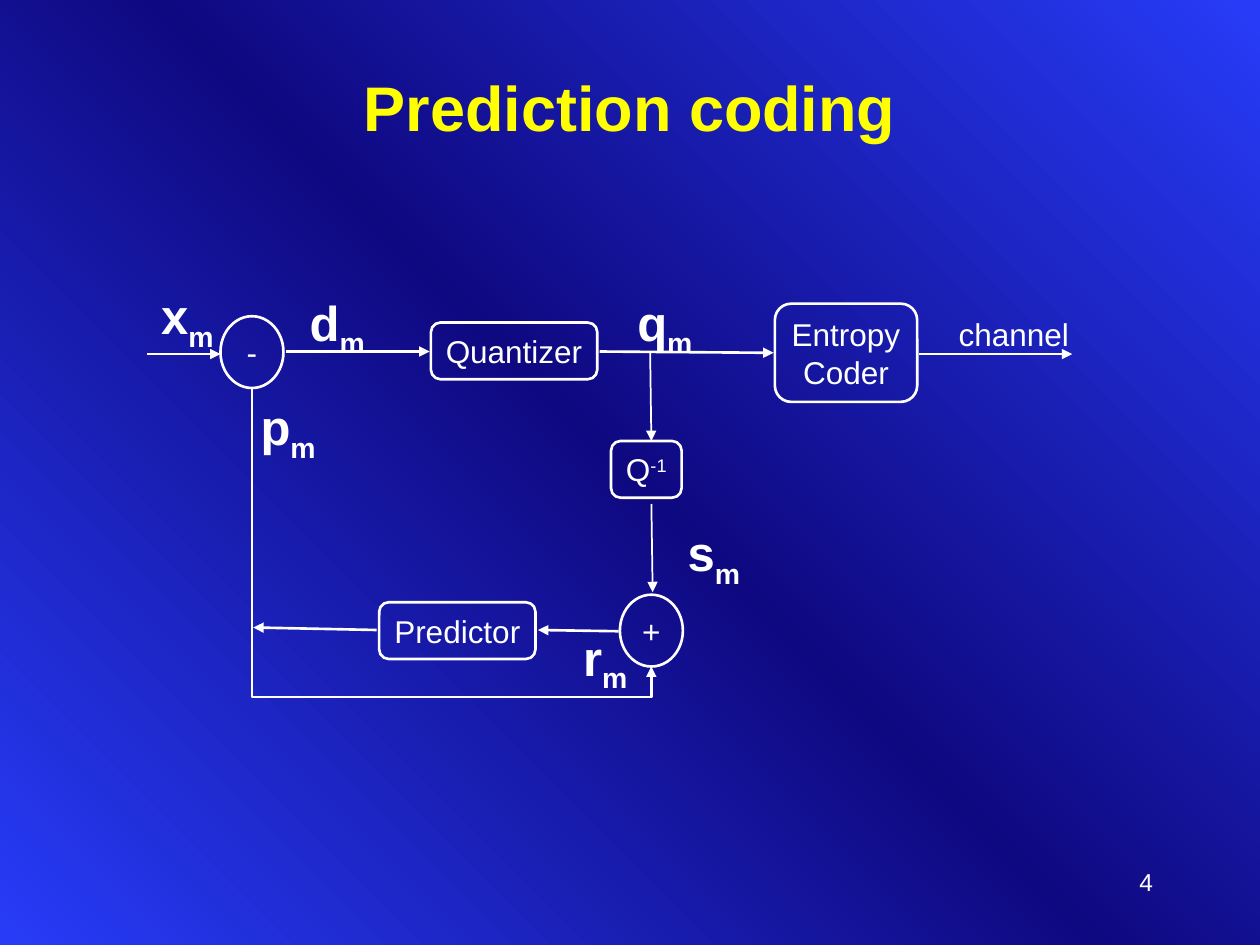
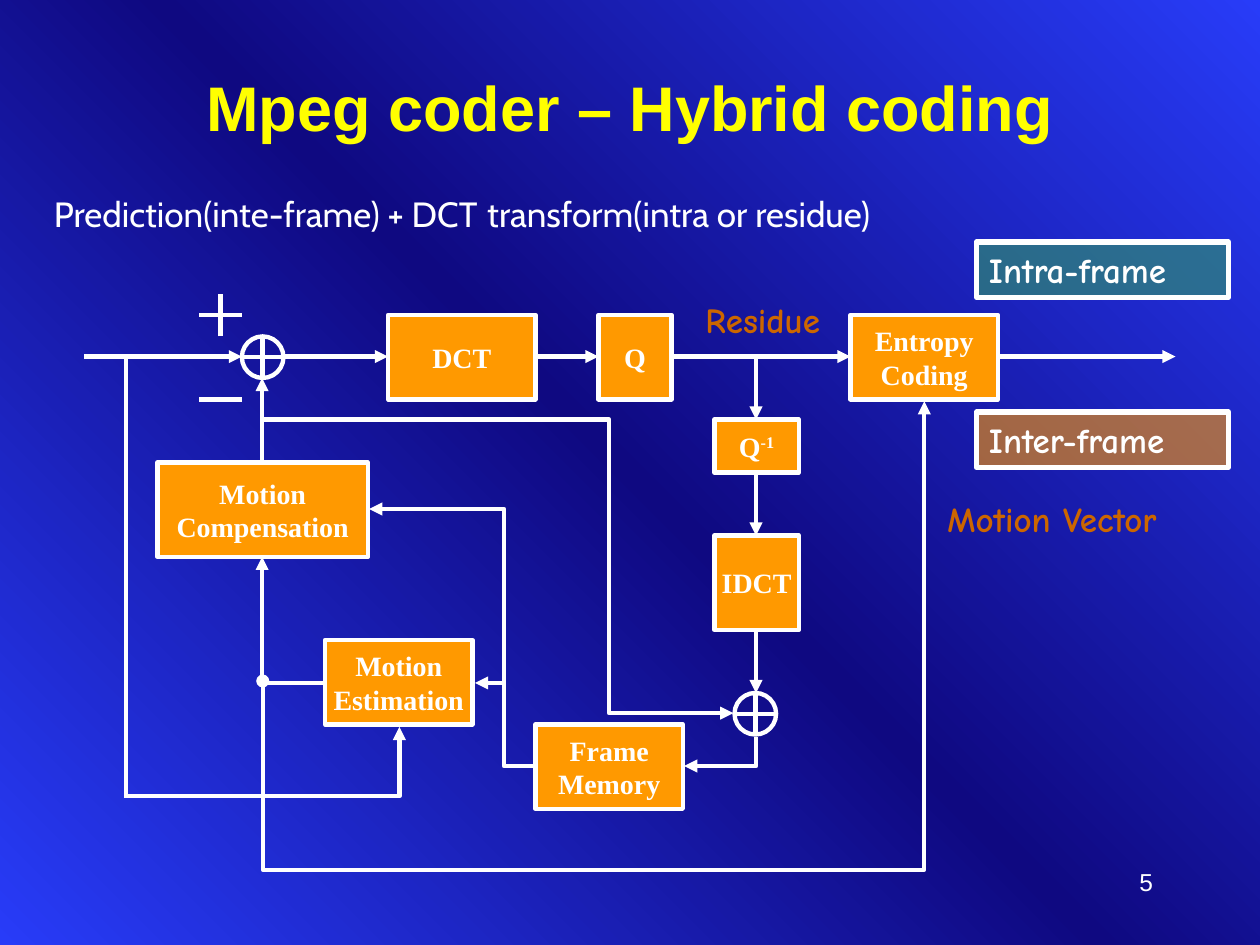
from dataclasses import dataclass
from typing import Any

from lxml.etree import SubElement
from pptx import Presentation
from pptx.dml.color import RGBColor
from pptx.enum.shapes import MSO_CONNECTOR, MSO_SHAPE
from pptx.enum.text import MSO_ANCHOR, MSO_AUTO_SIZE, PP_ALIGN
from pptx.oxml.ns import qn
from pptx.util import Inches, Pt

WHITE, YELLOW, ORANGE = "FFFFFF", "FFFF00", "FF9900"
RUST, GREEN = "CC6600", "339966"
BLUE, NAVY = "283CF8", "0F0981"
GROW = MSO_AUTO_SIZE.SHAPE_TO_FIT_TEXT

# Text styles: font, size, colour, bold, alignment, space before
LEFT, MID, RIGHT = PP_ALIGN.LEFT, PP_ALIGN.CENTER, PP_ALIGN.RIGHT
TITLE = ("Arial", 36, YELLOW, True, MID, 0)
NUMBER = ("Arial", 14, WHITE, False, RIGHT, 0)
BLOCK = ("Arial", 18, WHITE, False, MID, 4.5)
PLAIN = ("Arial", 18, WHITE, False, LEFT, 4.5)
SIGNAL = ("Arial", 28, WHITE, True, LEFT, 7)
STAGE = ("Times New Roman", 16, WHITE, True, MID, 0)
TAG = ("Comic Neue", 20, WHITE, True, LEFT, 12.5)
NOTE = ("Comic Neue", 20, RUST, True, LEFT, 12.5)
LEAD = ("Cabin", 20, WHITE, False, LEFT, 12.5)


def tint(code):
    return RGBColor.from_string(code)


def put(item, values):
    for name, value in values.items():
        setattr(item, name, value)


def add_run(para, text, style, size=None, base=0):
    face, points, color, bold = style[:4]
    run = para.add_run()
    run.text = text
    put(run.font, {"name": face, "size": Pt(size or points), "bold": bold})
    run.font.color.rgb = tint(color)
    if base:
        run.font._element.set("baseline", str(base))


def write(frame, text, style, wrap=True, grow=True, anchor=MSO_ANCHOR.TOP):
    """A newline starts a paragraph, | breaks a line, _ lowers and ^ raises."""
    # Unwrapped text keeps its box fixed, so that it stays on one line
    put(frame, {"word_wrap": wrap, "vertical_anchor": anchor,
                "auto_size": GROW if grow and wrap else MSO_AUTO_SIZE.NONE})
    for i, row in enumerate(text.split("\n")):
        para = frame.add_paragraph() if i else frame.paragraphs[0]
        put(para, {"alignment": style[4], "space_before": Pt(style[5])})
        for j, part in enumerate(row.split("|")):
            if j:
                para.add_line_break()
            mark, base = ("_", -25000) if "_" in part else ("^", 30000)
            main, _, small = part.partition(mark)
            add_run(para, main, style)
            if small:
                add_run(para, small, style, base=base)


@dataclass
class Pane:
    """A region of a slide; its parts are placed from its top left corner."""
    slide: Any
    left: float = 0
    top: float = 0

    def place(self, x, y):
        return Inches(self.left + x), Inches(self.top + y)

    def text(self, box, words, style, **opts):
        x, y, w, h = box
        part = self.slide.shapes.add_textbox(*self.place(x, y), Inches(w), Inches(h))
        write(part.text_frame, words, style, **opts)
        return part.text_frame

    def shape(self, kind, box, fill=None, width=1.5, alpha=None):
        x, y, w, h = box
        part = self.slide.shapes.add_shape(kind, *self.place(x, y), Inches(w), Inches(h))
        part.shadow.inherit = False
        if fill:
            part.fill.solid()
            part.fill.fore_color.rgb = tint(fill)
        else:
            part.fill.background()
        if alpha:
            color = part._element.spPr.find(".//" + qn("a:srgbClr"))
            SubElement(color, qn("a:alpha"), val=str(alpha * 1000))
        part.line.color.rgb = tint(WHITE)
        part.line.width = Pt(width)
        return part

    def line(self, ends, width=1.5, head=None, tail="triangle", kind=MSO_CONNECTOR.STRAIGHT):
        x, y, right, base = ends
        link = self.slide.shapes.add_connector(
            kind, *self.place(x, y), *self.place(right, base))
        link.line.color.rgb = tint(WHITE)
        link.line.width = Pt(width)
        edge = link.line._get_or_add_ln()
        for name, tip in (("a:headEnd", head), ("a:tailEnd", tail)):
            if tip:
                SubElement(edge, qn(name), type=tip)
        SubElement(link._element.spPr, qn("a:effectLst"))
        return link

    def elbow(self, box, turn, flip, legs, bends=(), **opts):
        x, y, w, h = box
        link = self.line((x, y, x + w, y + h), kind=MSO_CONNECTOR.ELBOW, **opts)
        props = link._element.spPr
        frame = props.find(qn("a:xfrm"))
        frame.set("rot", str(turn * 60000))
        for axis in flip:
            frame.set("flip" + axis, "1")
        geom = props.find(qn("a:prstGeom"))
        geom.set("prst", f"bentConnector{legs}")
        guides = geom.find(qn("a:avLst"))
        for i, bend in enumerate(bends, 1):
            SubElement(guides, qn("a:gd"), name=f"adj{i}", fmla=f"val {round(bend * 100000)}")


def start(deck, title, number):
    """Blank slide with the shared background, title and number."""
    slide = deck.slides.add_slide(deck.slide_layouts[6])
    fill = slide.background.fill
    fill.gradient()
    fill.gradient_angle = 45
    stops = slide.element.find(".//" + qn("a:gsLst"))
    for stop in list(stops):
        stops.remove(stop)
    for at, code in ((0, BLUE), (50, NAVY), (100, BLUE)):
        stop = SubElement(stops, qn("a:gs"), pos=str(at * 1000))
        SubElement(stop, qn("a:srgbClr"), val=code)
    page = Pane(slide)
    page.text((7.17, 6.83, 2.08, 0.5), str(number), NUMBER, grow=False)
    page.text((0.75, 0.34, 8.5, 1), title, TITLE, grow=False, anchor=MSO_ANCHOR.MIDDLE)
    return slide


def draw_loop(pane):
    """Prediction loop of the first slide."""
    # Subtract and add nodes
    for x, y, sign in ((0.75, 0.51, "-"), (3.92, 2.72, "+")):
        node = pane.shape(MSO_SHAPE.OVAL, (x, y, 0.5, 0.57))
        write(node.text_frame, sign, BLOCK, anchor=MSO_ANCHOR.MIDDLE)
    # Blocks
    for box, name in (
        ((2.42, 0.56, 1.32, 0.45), "Quantizer"),
        ((5.15, 0.41, 1.13, 0.78), "Entropy|Coder"),
        ((2.01, 2.78, 1.24, 0.45), "Predictor"),
        ((3.85, 1.5, 0.56, 0.45), "Q^-1"),
    ):
        block = pane.shape(MSO_SHAPE.ROUNDED_RECTANGLE, box)
        write(block.text_frame, name, BLOCK, wrap=False, anchor=MSO_ANCHOR.MIDDLE)
    # Signals
    for x, y, w, name in (
        (0.18, 0.22, 0.61, "x"), (1.36, 0.27, 0.64, "d"), (3.96, 0.27, 0.64, "q"),
        (4.36, 2.1, 0.61, "s"), (3.53, 2.93, 0.55, "r"), (0.97, 1.1, 0.64, "p"),
    ):
        pane.text((x, y, w, 0.63), name + "_m", SIGNAL, wrap=False)
    pane.text((6.51, 0.45, 1.07, 0.4), "channel", PLAIN, wrap=False)
    # Arrows
    for ends in (
        (0.17, 0.81, 0.75, 0.81), (1.27, 0.79, 2.41, 0.79), (3.76, 0.79, 5.14, 0.8),
        (3.91, 3.01, 3.27, 3), (6.29, 0.81, 7.51, 0.81), (1.99, 3, 1.01, 2.98),
    ):
        pane.line(ends)
    for ends in ((4.16, 0.8, 4.17, 1.5), (4.17, 2, 4.18, 2.7)):
        pane.line(ends, width=1)
    pane.elbow((1.48, 0.6, 2.21, 3.17), 270, "H", 3, (1.11,))


def draw_coder(pane):
    """Hybrid coder of the second slide."""
    bold = {"width": 2.5}
    bare = {"width": 2.5, "tail": None}
    # Adders: a ring with a cross
    side = 0.33
    for x, y in ((1.42, 1.17), (5.33, 4)):
        pane.shape(MSO_SHAPE.OVAL, (x, y, side, side), **bold)
        pane.line((x, y + side / 2, x + side, y + side / 2), **bare)
        pane.line((x + side / 2, y + side, x + side / 2, y), **bare)
    # Main row, then columns
    for x, right in ((0.17, 1.42), (1.75, 2.58), (3.75, 4.25), (4.83, 6.25), (7.42, 8.83)):
        pane.line((x, 1.33, right, 1.33), **bold)
    for x, y, base in (
        (5.5, 1.33, 1.83), (5.5, 2.25, 2.75), (5.5, 3.5, 4),
        (1.58, 2.17, 1.5), (1.58, 3.92, 2.92),
    ):
        pane.line((x, y, x, base), **bold)
    # Plain joints, plus and minus signs
    for ends in (
        (1.58, 3.92, 2.08, 3.92), (0.5, 4.83, 0.5, 1.33), (1.58, 1.83, 1.92, 1.83),
        (1.08, 1, 1.42, 1), (1.25, 1.17, 1.25, 0.83), (1.08, 1.67, 1.42, 1.67),
    ):
        pane.line(ends, **bare)
    # Bent arrows
    for box, turn, flip, legs, bends, head in (
        ((5.1, 4.18, 0.23, 0.57), 90, "", 2, (), None),
        ((0.5, 4.27, 2.17, 0.55), 0, "V", 2, (), None),
        ((3.1, 0.17, 2.22, 5.25), 90, "HV", 3, (-0.675,), "oval"),
        ((3.27, 3.92, 0.46, 0.66), 180, "", 3, (0.5,), None),
        ((2.27, 2.7, 1.39, 1.07), 270, "V", 4, (1, 0.51), None),
        ((1.67, 1.83, 3.65, 2.33), 0, "", 3, (0.73,), None),
    ):
        pane.elbow(box, turn, flip, legs, bends, head=head, **bold)
    # Stages
    for box, name in (
        ((2.58, 1, 1.17, 0.67), "DCT"),
        ((4.25, 1, 0.58, 0.67), "Q"),
        ((5.17, 1.83, 0.67, 0.42), "Q^-1"),
        ((5.17, 2.75, 0.67, 0.75), "IDCT"),
        ((0.75, 2.17, 1.67, 0.75), "Motion\nCompensation"),
        ((3.75, 4.25, 1.17, 0.67), "Frame\nMemory"),
        ((2.08, 3.58, 1.17, 0.67), "Motion\nEstimation"),
        ((6.25, 1, 1.17, 0.67), "Entropy\nCoding"),
    ):
        stage = pane.shape(MSO_SHAPE.RECTANGLE, box, ORANGE, **bold)
        write(stage.text_frame, name, STAGE, wrap=False, anchor=MSO_ANCHOR.MIDDLE)
    # Frame tags and notes
    for y, fill, name in ((0.42, GREEN, "Intra-frame"), (1.77, ORANGE, "Inter-frame")):
        tag = pane.shape(MSO_SHAPE.RECTANGLE, (7.25, y, 2, 0.44), fill, 3, alpha=60)
        write(tag.text_frame, name, TAG)
    pane.text((5, 0.82, 1.42, 0.44), "Residue", NOTE)
    pane.text((6.92, 2.4, 2.42, 0.44), "Motion Vector", NOTE)


def draw_lead(pane):
    """Line under the title, with a wider gap between its halves."""
    frame = pane.text((0, 0, 7.17, 0.84), "Prediction(inte-frame) + DCT", LEAD)
    para = frame.paragraphs[0]
    add_run(para, " ", LEAD, size=24)
    add_run(para, "transform(intra or residue)", LEAD)


def main():
    deck = Presentation()
    put(deck, {"slide_width": Inches(10), "slide_height": Inches(7.5)})
    draw_loop(Pane(start(deck, "Prediction coding", 4), 1, 2))
    slide = start(deck, "Mpeg coder – Hybrid coding", 5)
    draw_coder(Pane(slide, 0.5, 1.5))
    draw_lead(Pane(slide, 0.33, 1.42))
    deck.save("out.pptx")


if __name__ == "__main__":
    main()
